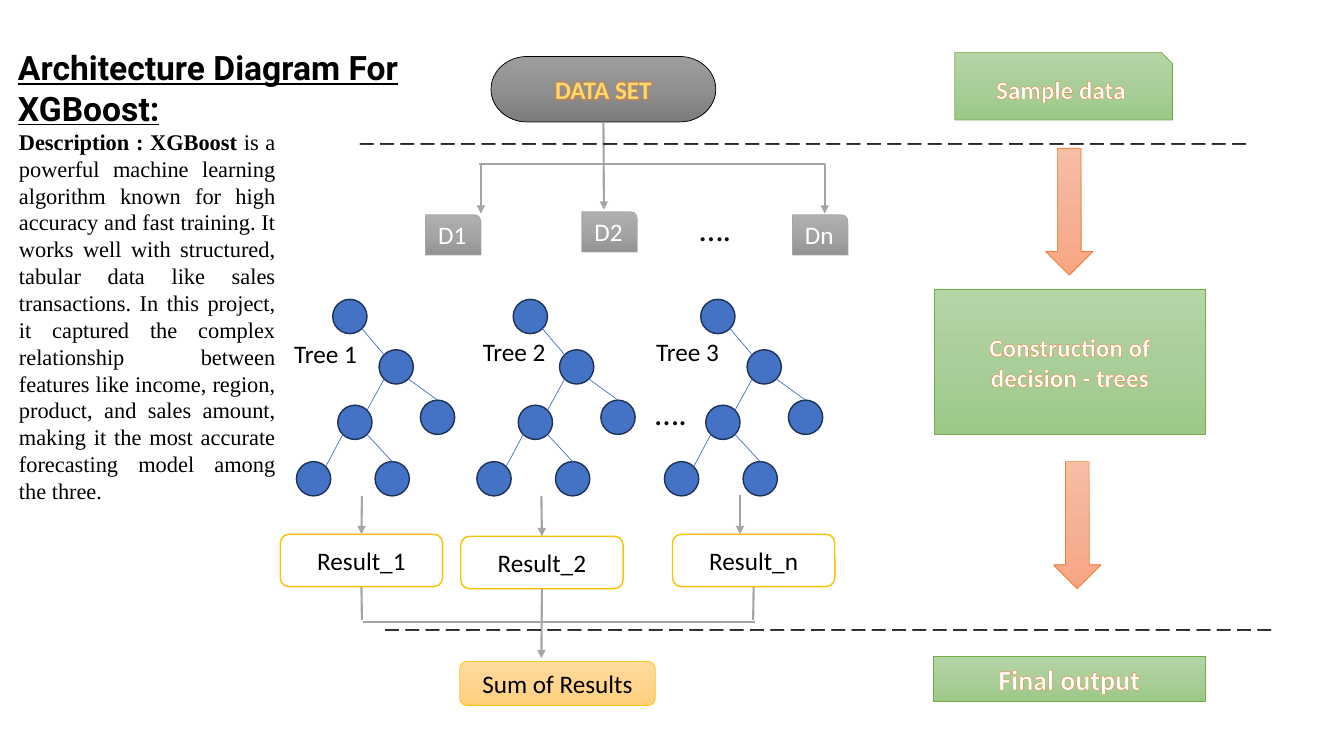
"""Build a one-slide architecture diagram for XGBoost."""
from copy import deepcopy
from dataclasses import dataclass
from typing import Any, Optional

from lxml.etree import SubElement
from pptx import Presentation
from pptx.dml.color import RGBColor
from pptx.enum.shapes import MSO_CONNECTOR, MSO_SHAPE as Preset
from pptx.enum.text import MSO_ANCHOR, MSO_AUTO_SIZE, PP_ALIGN as Align
from pptx.oxml.ns import qn
from pptx.util import Inches, Pt

COLORS = {
    "white": "FFFFFF", "black": "000000", "dots": "0D0D0D", "gray": "A5A5A5",
    "green": "70AD47", "orange": "ED7D31", "gold": "FFC000",
    "blue": "4472C4", "navy": "1E3256",
}
GRADIENTS = {
    "dark": [(0, "9D9D9D"), (0.5, "909090"), (1, "7C7C7C")],
    "silver": [(0, "AFAFAF"), (0.5, "A5A5A5"), (1, "939393")],
    "leaf": [(0, "B5D5A7"), (0.5, "AACE9A"), (1, "9CC987")],
    "peach": [(0, "F7BDA5"), (0.5, "F5B196"), (1, "F8A582")],
    "amber": [(0, "FFDB9E"), (0.5, "FFD590"), (1, "FFD07C")],
    "shine": [(0, "FFC000"), (0.04, "FFD966"), (0.87, "FFF2CC")],
}


@dataclass
class Words:
    text: str
    size: float = 18
    color: str = "black"
    bold: bool = False
    underline: bool = False
    font: str = "Calibri"
    outline: Optional[str] = None
    outline_width: float = 0.52
    glow: Optional[str] = None


@dataclass
class Box:
    left: float
    top: float
    width: float
    height: float
    preset: Preset
    fill: str
    line: str
    line_width: float = 0.5
    words: Optional[Words] = None


@dataclass
class Label:
    left: float
    top: float
    width: float
    height: float
    lines: list[list[Words]]
    align: Align = Align.LEFT


@dataclass
class Line:
    x1: float
    y1: float
    x2: float
    y2: float
    arrow: bool = False
    color: str = "gray"
    width: float = 1.5
    start: Any = None
    end: Any = None


def rgb(name: str) -> RGBColor:
    return RGBColor.from_string(COLORS[name])


def paint(fill: Any, parent: Any, name: str) -> None:
    if name not in GRADIENTS:
        fill.solid()
        fill.fore_color.rgb = rgb(name)
        return
    fill.gradient()
    fill.gradient_angle = 270
    stop_list = parent.find(qn("a:gradFill")).find(qn("a:gsLst"))
    stop_list.append(deepcopy(stop_list[-1]))
    for stop, (position, color) in zip(fill.gradient_stops, GRADIENTS[name]):
        stop.position = position
        stop.color.rgb = RGBColor.from_string(color)


def add_run(paragraph: Any, words: Words) -> None:
    run = paragraph.add_run()
    run.text = words.text
    font = run.font
    font.size, font.name = Pt(words.size), words.font
    font.bold, font.underline = words.bold, words.underline
    properties = run._r.get_or_add_rPr()
    paint(font.fill, properties, words.color)
    if words.outline:
        line = SubElement(properties, qn("a:ln"), w=str(Pt(words.outline_width)))
        solid = SubElement(line, qn("a:solidFill"))
        SubElement(solid, qn("a:srgbClr"), val=COLORS[words.outline])
        properties.insert(0, line)
    if words.glow:
        effects = SubElement(properties, qn("a:effectLst"))
        glow = SubElement(effects, qn("a:glow"), rad=str(Pt(5)))
        color = SubElement(glow, qn("a:srgbClr"), val=COLORS[words.glow])
        SubElement(color, qn("a:alpha"), val="40000")
        properties.insert(2, effects)


def add_box(slide: Any, box: Box) -> Any:
    shape = slide.shapes.add_shape(
        box.preset, Inches(box.left), Inches(box.top), Inches(box.width), Inches(box.height))
    shape.shadow.inherit = False
    paint(shape.fill, shape._element.spPr, box.fill)
    shape.line.color.rgb = rgb(box.line)
    shape.line.width = Pt(box.line_width)
    if box.words:
        frame = shape.text_frame
        frame.word_wrap = True
        frame.vertical_anchor = MSO_ANCHOR.MIDDLE
        frame.paragraphs[0].alignment = Align.CENTER
        add_run(frame.paragraphs[0], box.words)
    return shape


def add_label(slide: Any, label: Label) -> None:
    shape = slide.shapes.add_textbox(
        Inches(label.left), Inches(label.top), Inches(label.width), Inches(label.height))
    frame = shape.text_frame
    frame.word_wrap = True
    frame.auto_size = MSO_AUTO_SIZE.SHAPE_TO_FIT_TEXT
    paragraph = frame.paragraphs[0]
    paragraph.alignment = label.align
    for index, line in enumerate(label.lines):
        if index:
            paragraph.add_line_break()
        for words in line:
            add_run(paragraph, words)


def add_line(slide: Any, line: Line) -> None:
    connector = slide.shapes.add_connector(
        MSO_CONNECTOR.STRAIGHT, Inches(line.x1), Inches(line.y1), Inches(line.x2), Inches(line.y2))
    connector.line.color.rgb = rgb(line.color)
    connector.line.width = Pt(line.width)
    if line.arrow:
        SubElement(connector.line._get_or_add_ln(), qn("a:tailEnd"), type="triangle")
    SubElement(connector._element.spPr, qn("a:effectLst"))
    if line.start:
        connector.begin_connect(line.start, 2)
    if line.end:
        connector.end_connect(line.end, 0)


def add_tree(slide: Any, left: float) -> None:
    nodes = [(0.36, 2.97), (0.82, 3.47), (0.41, 4.02), (1.23, 3.97), (0, 4.58), (0.78, 4.58)]
    edges = [(0.65, 3.26, 0.87, 3.52), (1.11, 3.76, 1.4, 3.97), (0.87, 3.76, 0.7, 4.07),
             (0.46, 4.31, 0.29, 4.63), (0.7, 4.31, 0.95, 4.58)]
    for x, y in nodes:
        add_box(slide, Box(left + x, y, 0.34, 0.34, Preset.FLOWCHART_CONNECTOR, "blue", "navy", 1))
    for x1, y1, x2, y2 in edges:
        add_line(slide, Line(left + x1, y1, left + x2, y2, color="blue", width=0.5))


def add_stages(slide: Any) -> None:
    stages = [
        (9.47, 0.52, 2.16, 0.67, Preset.SNIP_1_RECTANGLE, "Sample data", 18),
        (9.27, 2.87, 2.68, 1.44, Preset.FLOWCHART_PROCESS, "Construction of decision - trees", 18),
        (9.26, 6.51, 2.69, 0.45, Preset.FLOWCHART_PROCESS, "Final output", 20),
    ]
    for left, top, width, height, preset, text, size in stages:
        words = Words(text, size, "white", bold=True, outline="orange")
        add_box(slide, Box(left, top, width, height, preset, "leaf", "green", words=words))
    for left, top in [(10.37, 1.47), (10.45, 4.58)]:
        add_box(slide, Box(left, top, 0.47, 1.26, Preset.DOWN_ARROW, "peach", "orange"))


def add_flow(slide: Any) -> None:
    title = Words("DATA SET", 18, "shine", bold=True, outline="gold", outline_width=1, glow="orange")
    data_set = add_box(slide, Box(4.87, 0.56, 2.23, 0.65, Preset.FLOWCHART_TERMINATOR,
                                  "dark", "black", words=title))
    for text, left, top in [("D1", 4.22, 2.13), ("D2", 5.77, 2.1), ("Dn", 7.86, 2.13)]:
        add_box(slide, Box(left, top, 0.55, 0.4, Preset.ROUND_1_RECTANGLE, "silver", "gray",
                           words=Words(text, color="white")))
    for left in (2.94, 4.73, 6.59):
        add_tree(slide, left)
    first, second, last = [
        add_box(slide, Box(left, top, 1.61, 0.52, Preset.ROUNDED_RECTANGLE, "white", "gold", 1, Words(text)))
        for text, left, top in [("Result_1", 2.78, 5.3), ("Result_2", 4.57, 5.32), ("Result_n", 6.67, 5.3)]]
    add_box(slide, Box(4.56, 6.56, 1.94, 0.44, Preset.ROUNDED_RECTANGLE, "amber", "gold",
                       words=Words("Sum of Results")))
    for line in [
        Line(5.99, 1.21, 5.99, 2.08, True, start=data_set), Line(4.75, 1.63, 8.18, 1.63),
        Line(4.77, 1.63, 4.77, 2.12, True), Line(8.18, 1.63, 8.18, 2.12, True),
        Line(3.59, 4.92, 3.59, 5.3, True, end=first), Line(5.37, 4.92, 5.37, 5.32, True, end=second),
        Line(7.34, 4.91, 7.34, 5.3, True), Line(3.6, 6.17, 7.49, 6.17),
        Line(3.59, 5.82, 3.59, 6.15, start=first), Line(7.47, 5.82, 7.47, 6.15, start=last),
        Line(5.37, 5.84, 5.37, 6.53, True, start=second),
    ]:
        add_line(slide, line)


def add_labels(slide: Any) -> None:
    for left, top in [(3.47, 1.08), (3.72, 5.9)]:
        add_label(slide, Label(left, top, 9.48, 0.44, [[Words(" ".join("_" * 44), 20)]]))
    for left, top in [(6.84, 2.01), (6.4, 3.84)]:
        add_label(slide, Label(left, top, 1.04, 0.5, [[Words("….", 24, "dots")]]))
    for text, left, top in [("Tree 1", 2.82, 3.31), ("Tree 2", 4.69, 3.29), ("Tree 3", 6.41, 3.29)]:
        add_label(slide, Label(left, top, 1, 0.4, [[Words(text)]]))
    heading = Words("Architecture Diagram For XGBoost:", 24, bold=True, underline=True, font="Roboto")
    add_label(slide, Label(0.08, 0.42, 4.38, 1.25, [[heading]]))
    serif = "Times New Roman"
    opening = (" is a powerful machine learning algorithm known for high accuracy and fast training. It works "
               "well with structured, tabular data like sales transactions. In this project, it captured the complex")
    closing = ("relationship between features like income, region, product, and sales amount, "
               "making it the most accurate forecasting model among the three.")
    add_label(slide, Label(0.09, 1.22, 2.74, 4.14, [
        [Words("Description : XGBoost", 16, bold=True, font=serif), Words(opening, 16, font=serif)],
        [Words(closing, 16, font=serif)]], Align.JUSTIFY))


def main() -> None:
    presentation = Presentation()
    presentation.slide_width, presentation.slide_height = Inches(13.33), Inches(7.5)
    slide = presentation.slides.add_slide(presentation.slide_layouts[6])
    add_stages(slide)
    add_flow(slide)
    add_labels(slide)
    presentation.save("out.pptx")


if __name__ == "__main__":
    main()
